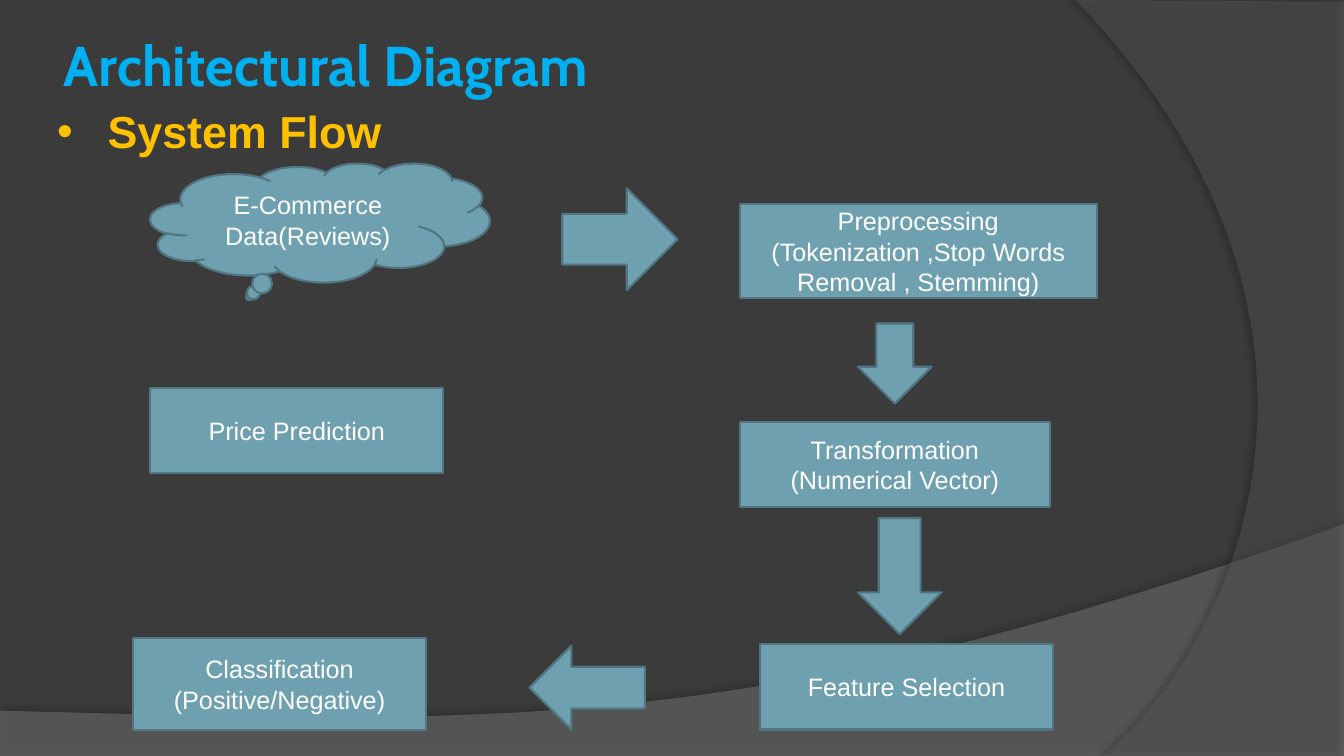
from dataclasses import dataclass

from lxml import etree
from pptx import Presentation
from pptx.dml.color import RGBColor
from pptx.enum.shapes import MSO_SHAPE
from pptx.enum.text import MSO_ANCHOR, MSO_AUTO_SIZE, PP_ALIGN
from pptx.oxml.ns import qn
from pptx.shapes.autoshape import Shape
from pptx.slide import Slide
from pptx.text.text import TextFrame
from pptx.util import Pt

RECTANGLE = MSO_SHAPE.RECTANGLE
CLOUD = MSO_SHAPE.CLOUD_CALLOUT
RIGHT_ARROW = MSO_SHAPE.RIGHT_ARROW
DOWN_ARROW = MSO_SHAPE.DOWN_ARROW
LEFT_ARROW = MSO_SHAPE.LEFT_ARROW
MIDDLE = MSO_ANCHOR.MIDDLE
TOP = MSO_ANCHOR.TOP
CENTER = PP_ALIGN.CENTER
LEFT = PP_ALIGN.LEFT
NO_FIT = MSO_AUTO_SIZE.NONE
GROW = MSO_AUTO_SIZE.SHAPE_TO_FIT_TEXT

Point = tuple[float, float]
CURVE_STEPS = 48


@dataclass(frozen=True)
class Theme:
    background: str = "3B3B3B"
    fill: str = "6EA0B0"
    outline: str = "517682"
    text: str = "FFFFFF"
    title: str = "00B0F0"
    subtitle: str = "FFC000"
    heading_font: str = "Cabin"
    body_font: str = "Arial"
    title_size: float = 40
    subtitle_size: float = 32
    body_size: float = 18
    outline_width: float = 1.5


@dataclass(frozen=True)
class FlowShape:
    kind: MSO_SHAPE
    left: float
    top: float
    width: float
    height: float
    lines: tuple[str, ...] = ()
    rotation: float = 0


@dataclass(frozen=True)
class Swoosh:
    corners: tuple[Point, ...]
    controls: tuple[Point, Point]
    color: str
    opacity: int
    shadow_opacity: int
    shadow_distance: float
    shadow_angle: int


THEME = Theme()

SWOOSHES = (
    Swoosh(((0, 507.6), (0, 540), (960, 540), (960, 374.4)),
           ((536.4, 524.9), (375.1, 517.7)), "7F7F7F", 45, 35, 3.5, 270),
    Swoosh(((768.2, 0), (960, 1.4), (960, 540), (788.4, 540)),
           ((897.1, 445.7), (977, 216)), "5E5E5E", 40, 45, 4, 180),
)

FLOW = (
    FlowShape(CLOUD, 107.3, 116.6, 242.6, 85, ("E-Commerce Data(Reviews)",)),
    FlowShape(RECTANGLE, 528.5, 145.6, 254.9, 67.4,
              ("Preprocessing", "(Tokenization ,Stop Words Removal , Stemming)")),
    FlowShape(RECTANGLE, 528.5, 301.2, 221.4, 61, ("Transformation", "(Numerical Vector)")),
    FlowShape(RECTANGLE, 542.9, 460.1, 209.4, 61, ("Feature Selection",)),
    FlowShape(RECTANGLE, 95, 455.8, 209.4, 65.5, ("Classification", "(Positive/Negative)")),
    FlowShape(RIGHT_ARROW, 401.6, 134.6, 82.4, 72.6),
    FlowShape(DOWN_ARROW, 612.9, 231.1, 52.6, 57.2),
    FlowShape(LEFT_ARROW, 601.2, 381.6, 83, 59.8, rotation=270),
    FlowShape(DOWN_ARROW, 389.5, 450, 59.8, 82.4, rotation=90),
    FlowShape(RECTANGLE, 107.3, 277.2, 209.4, 61, ("Price Prediction",)),
)


def apply_format(target: object, values: dict[str, object]) -> None:
    for name, value in values.items():
        setattr(target, name, value)


def write_text(frame: TextFrame, lines: tuple[str, ...], frame_format: dict[str, object],
               align: PP_ALIGN, font: str, size: float, color: str, bold: bool) -> None:
    apply_format(frame, {"word_wrap": True, **frame_format})
    for index, line in enumerate(lines):
        para = frame.add_paragraph() if index else frame.paragraphs[0]
        para.alignment = align
        span = para.add_run()
        span.text = line
        apply_format(span.font, {"name": font, "size": Pt(size), "bold": bold})
        span.font.color.rgb = RGBColor.from_string(color)


def paint(shape: Shape, color: str) -> None:
    shape.shadow.inherit = False
    shape.fill.solid()
    shape.fill.fore_color.rgb = RGBColor.from_string(color)


def curve_point(ends: tuple[Point, Point], controls: tuple[Point, Point], t: float) -> Point:
    weights = ((1 - t) ** 3, 3 * t * (1 - t) ** 2, 3 * t ** 2 * (1 - t), t ** 3)
    anchors = (ends[0], *controls, ends[1])
    x, y = (sum(w * anchor[axis] for w, anchor in zip(weights, anchors)) for axis in (0, 1))
    return x, y


def draw_swoosh(page: Slide, swoosh: Swoosh) -> None:
    ends = (swoosh.corners[-1], swoosh.corners[0])
    curve = [curve_point(ends, swoosh.controls, step / CURVE_STEPS)
             for step in range(1, CURVE_STEPS)]
    start, *rest = [(Pt(x), Pt(y)) for x, y in (*swoosh.corners, *curve)]
    builder = page.shapes.build_freeform(*start, scale=1.0)
    builder.add_line_segments(rest, close=True)
    shape = builder.convert_to_shape()
    paint(shape, swoosh.color)
    shape.line.fill.background()
    properties = shape._element.spPr
    fill_color = properties.find(qn("a:solidFill")).find(qn("a:srgbClr"))
    etree.SubElement(fill_color, qn("a:alpha"), val=str(swoosh.opacity * 1000))
    shadow = etree.SubElement(
        properties.find(qn("a:effectLst")), qn("a:outerShdw"), blurRad=str(Pt(4)),
        dist=str(Pt(swoosh.shadow_distance)), dir=str(swoosh.shadow_angle * 60000))
    shadow_color = etree.SubElement(shadow, qn("a:srgbClr"), val="000000")
    etree.SubElement(shadow_color, qn("a:alpha"), val=str(swoosh.shadow_opacity * 1000))


def draw_flow_shape(page: Slide, item: FlowShape) -> None:
    shape = page.shapes.add_shape(item.kind, Pt(item.left), Pt(item.top),
                                  Pt(item.width), Pt(item.height))
    paint(shape, THEME.fill)
    shape.line.color.rgb = RGBColor.from_string(THEME.outline)
    apply_format(shape.line, {"width": Pt(THEME.outline_width)})
    shape.rotation = item.rotation
    write_text(shape.text_frame, item.lines, {"vertical_anchor": MIDDLE}, CENTER,
               THEME.body_font, THEME.body_size, THEME.text, False)


def draw_title(page: Slide) -> None:
    title = page.shapes.title
    apply_format(title, {"left": Pt(41.8), "top": Pt(7.2),
                         "width": Pt(784.1), "height": Pt(77.8)})
    margins = {f"margin_{side}": Pt(3.6) for side in ("left", "top", "right", "bottom")}
    write_text(title.text_frame, ("Architectural Diagram",),
               {"vertical_anchor": MIDDLE, "auto_size": NO_FIT, **margins}, LEFT,
               THEME.heading_font, THEME.title_size, THEME.title, True)


def draw_subtitle(page: Slide) -> None:
    box = page.shapes.add_textbox(Pt(33.8), Pt(70.6), Pt(350.6), Pt(46.1))
    write_text(box.text_frame, ("System Flow",),
               {"vertical_anchor": TOP, "auto_size": GROW}, LEFT,
               THEME.body_font, THEME.subtitle_size, THEME.subtitle, True)
    properties = box.text_frame.paragraphs[0]._p.get_or_add_pPr()
    properties.set("marL", str(Pt(36)))
    properties.set("indent", str(Pt(-36)))
    etree.SubElement(properties, qn("a:buFont"), typeface=THEME.body_font)
    etree.SubElement(properties, qn("a:buChar"), char="•")


def main() -> None:
    deck = Presentation()
    apply_format(deck, {"slide_width": Pt(960), "slide_height": Pt(540)})
    page = deck.slides.add_slide(deck.slide_layouts.get_by_name("Title Only"))
    page.background.fill.solid()
    page.background.fill.fore_color.rgb = RGBColor.from_string(THEME.background)
    for swoosh in SWOOSHES:
        draw_swoosh(page, swoosh)
    for item in FLOW:
        draw_flow_shape(page, item)
    draw_title(page)
    draw_subtitle(page)
    deck.save("out.pptx")


if __name__ == "__main__":
    main()
